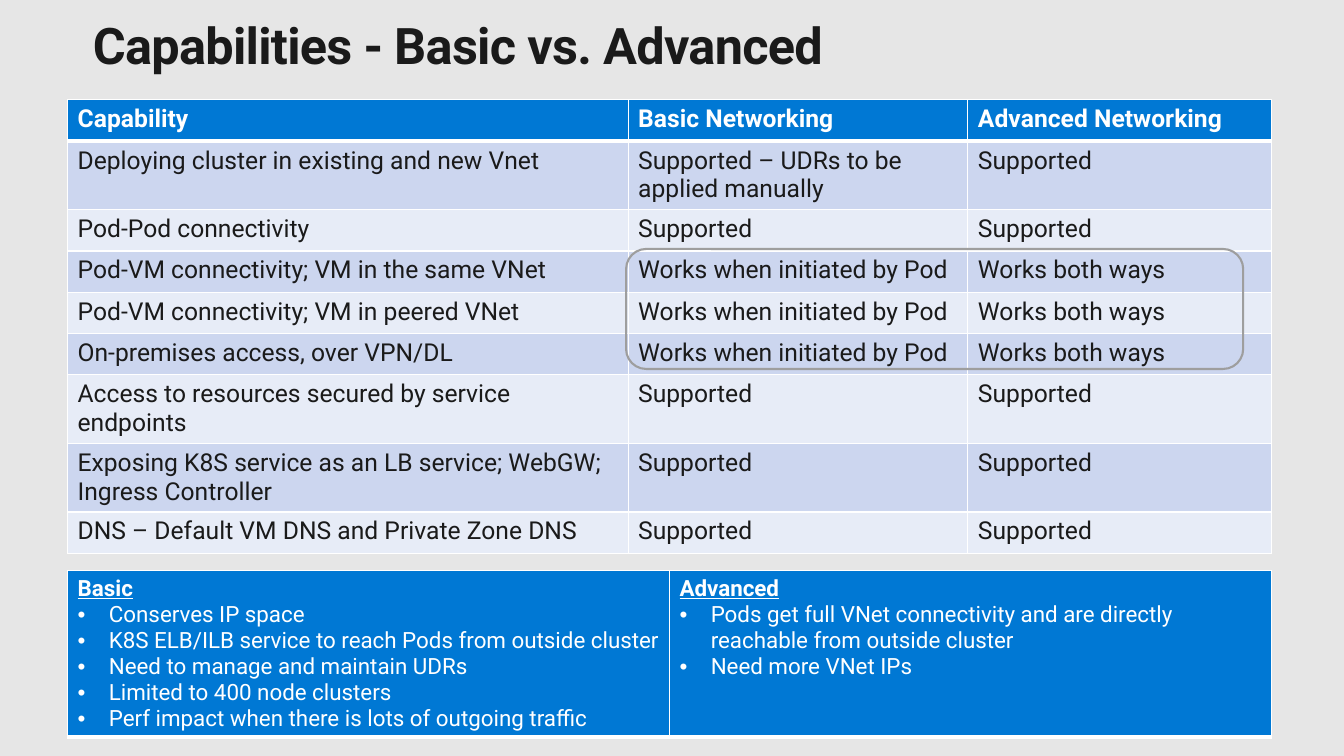
from lxml import etree
from pptx import Presentation
from pptx import util as u
from pptx.dml.color import RGBColor
from pptx.enum import shapes, text
from pptx.oxml import ns

BACKGROUND = RGBColor(0xE6, 0xE6, 0xE6)
INK = RGBColor(0x1A, 0x1A, 0x1A)
BLUE = RGBColor(0x00, 0x78, 0xD4)
WHITE = RGBColor(0xFF, 0xFF, 0xFF)
GREY = RGBColor(0x9E, 0x9E, 0x9E)
BANDS = (RGBColor(0xCC, 0xD6, 0xEF), RGBColor(0xE7, 0xEC, 0xF7))

LEFT = 0.67
INITIATED = ("Works when initiated by Pod", "Works both ways")
SUPPORTED = ("Supported", "Supported")
CAPABILITIES = [
    (0.41, "Capability", "Basic Networking", "Advanced Networking"),
    (0.68, "Deploying cluster in existing and new Vnet",
     "Supported – UDRs to be applied manually", "Supported"),
    (0.41, "Pod-Pod connectivity", *SUPPORTED),
    (0.41, "Pod-VM connectivity; VM in the same VNet", *INITIATED),
    (0.41, "Pod-VM connectivity; VM in peered VNet", *INITIATED),
    (0.41, "On-premises access, over VPN/DL", *INITIATED),
    (0.68, "Access to resources secured by service endpoints", *SUPPORTED),
    (0.68, "Exposing K8S service as an LB service; WebGW; Ingress Controller", *SUPPORTED),
    (0.41, "DNS – Default VM DNS and Private Zone DNS", *SUPPORTED),
]
SUMMARIES = [
    ("Basic", "Conserves IP space",
     "K8S ELB/ILB service to reach Pods from outside cluster",
     "Need to manage and maintain UDRs", "Limited to 400 node clusters",
     "Perf impact when there is lots of outgoing traffic"),
    ("Advanced",
     "Pods get full VNet connectivity and are directly reachable from outside cluster",
     "Need more VNet IPs"),
]


class SlideBuilder:
    font_name = "Roboto"

    def __init__(self, slide):
        self.slide = slide
        slide.background.fill.solid()
        slide.background.fill.fore_color.rgb = BACKGROUND

    def style(self, paragraph, size, color, bold=False, underline=False):
        font = paragraph.font
        font.name, font.size = self.font_name, u.Pt(size)
        font.bold, font.underline = bold, underline
        font.color.rgb = color

    def title(self, wording, left, top, width, height):
        shape = self.slide.shapes.title
        shape.left, shape.top = u.Inches(left), u.Inches(top)
        shape.width, shape.height = u.Inches(width), u.Inches(height)
        frame = shape.text_frame
        frame.margin_left = frame.margin_right = frame.margin_top = frame.margin_bottom = 0
        frame.vertical_anchor = text.MSO_ANCHOR.TOP
        paragraph = frame.paragraphs[0]
        run = paragraph.add_run()
        run.text = wording
        run._r.get_or_add_rPr().set("spc", "-50")
        paragraph.alignment = text.PP_ALIGN.LEFT
        self.style(paragraph, 36, INK, bold=True)

    def table(self, left, top, widths, heights):
        frame = self.slide.shapes.add_table(
            len(heights), len(widths), u.Inches(left), u.Inches(top),
            u.Inches(sum(widths)), u.Inches(sum(heights)))
        table = frame.table
        table.first_row = table.horz_banding = False
        for column, width in zip(table.columns, widths):
            column.width = u.Inches(width)
        for row, height in zip(table.rows, heights):
            row.height = u.Inches(height)
        return table

    def paint(self, cell, color, bottom=1):
        properties = cell._tc.get_or_add_tcPr()
        for side, points in (("L", 1), ("R", 1), ("T", 1), ("B", bottom)):
            line = etree.SubElement(properties, ns.qn(f"a:ln{side}"), w=str(u.Pt(points)))
            fill = etree.SubElement(line, ns.qn("a:solidFill"))
            etree.SubElement(fill, ns.qn("a:srgbClr"), val=str(WHITE))
        cell.fill.solid()
        cell.fill.fore_color.rgb = color

    def bullet(self, paragraph):
        properties = paragraph._p.get_or_add_pPr()
        indent = u.Inches(0.31)
        properties.set("marL", str(indent))
        properties.set("indent", str(-indent))
        etree.SubElement(properties, ns.qn("a:buFont"), typeface="Arial")
        etree.SubElement(properties, ns.qn("a:buChar"), char="•")

    def capability_table(self, left, top, widths, rows):
        table = self.table(left, top, widths, [row[0] for row in rows])
        for row_index, (_, *wordings) in enumerate(rows):
            header = row_index == 0
            for column_index, wording in enumerate(wordings):
                cell = table.cell(row_index, column_index)
                self.paint(cell, BLUE if header else BANDS[(row_index - 1) % 2],
                           3 if header else 1)
                cell.text = wording
                self.style(cell.text_frame.paragraphs[0], 17.6,
                           WHITE if header else INK, bold=header)

    def summary_table(self, left, top, widths, height, summaries):
        table = self.table(left, top, widths, [height])
        for column_index, lines in enumerate(summaries):
            cell = table.cell(0, column_index)
            self.paint(cell, BLUE, 3)
            cell.text = "\n".join(lines)
            for index, paragraph in enumerate(cell.text_frame.paragraphs):
                heading = index == 0
                if not heading:
                    self.bullet(paragraph)
                self.style(paragraph, 16, WHITE, heading, heading)

    def outline(self, left, top, width, height):
        shape = self.slide.shapes.add_shape(
            shapes.MSO_SHAPE.ROUNDED_RECTANGLE, u.Inches(left), u.Inches(top),
            u.Inches(width), u.Inches(height))
        shape.shadow.inherit = False
        shape.fill.background()
        shape.line.color.rgb = GREY
        shape.line.width = u.Pt(1.5)


def main():
    presentation = Presentation()
    presentation.slide_width = u.Inches(13.33)
    presentation.slide_height = u.Inches(7.5)
    slide = presentation.slides.add_slide(presentation.slide_layouts[5])
    builder = SlideBuilder(slide)
    builder.title("Capabilities - Basic vs. Advanced", 0.92, 0.14, 11.5, 0.59)
    builder.capability_table(LEFT, 0.99, (5.56, 3.37, 3.01), CAPABILITIES)
    builder.summary_table(LEFT, 5.66, (5.97, 5.97), 1.65, SUMMARIES)
    builder.outline(6.21, 2.47, 6.12, 1.19)
    presentation.save("out.pptx")


if __name__ == "__main__":
    main()
